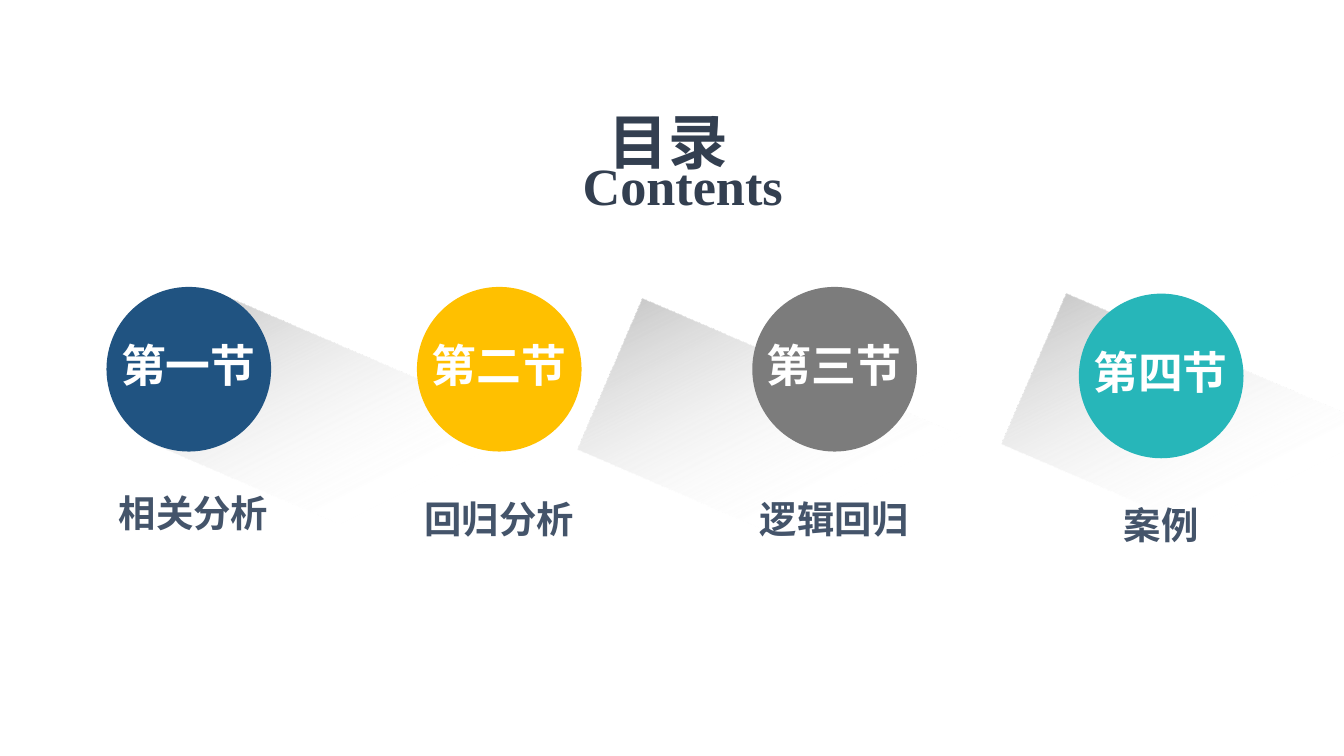
import pptx
import pptx.util
import pptx.dml.color
import pptx.enum.shapes
import pptx.enum.text
from lxml import etree

THEME = {
    "sans": "Noto Sans CJK SC", "serif": "Times New Roman",
    "dark": "333F50", "label": "44546A", "white": "FFFFFF",
    "head": 32, "sub": 28, "name": 24, "note": 20,
    # stop position in %, colour, opacity in %
    "shade": [(0, "4991D2", 54), (0, "BFBFBF", 100), (54, "FFFFFF", 0)],
}

# All lengths are in cells: the 16:9 slide is 100 cells wide, 56.25 high.
COLS, ROWS = 100, 56.25
CELL = pptx.util.Inches(10) / COLS

# number, topic, colour, centre column, top row of circle, shift of topic
SECTIONS = [
    ("第一节", "相关分析", "205381", 14.05, 21.35, (0.35, -0.4)),
    ("第二节", "回归分析", "FFC000", 37.15, 21.35, (0, 0)),
    ("第三节", "逻辑回归", "7C7C7C", 62.1, 21.35, (0, 0)),
    ("第四节", "案例", "27B6B9", 86.4, 21.85, (0, 0)),
]
SHADES = [(11.9, 28.5), (75.4, 28.7), (43.9, 29.1)]
SHADE = (37.2, 12.2)
TILT, ANGLE = 23.3, 40
DISC = 12.25
NAME = (13.2, 5)
GLYPH, LINE = 2.8, 3.4

KIND = pptx.enum.shapes.MSO_SHAPE
ALIGN = pptx.enum.text.PP_ALIGN
MID = pptx.enum.text.MSO_ANCHOR.MIDDLE
GROW = pptx.enum.text.MSO_AUTO_SIZE.SHAPE_TO_FIT_TEXT
FLUSH = dict.fromkeys(
    ("margin_left", "margin_top", "margin_right", "margin_bottom"), 0)

deck = pptx.Presentation()
deck.slide_width, deck.slide_height = round(COLS * CELL), round(ROWS * CELL)
slide = deck.slides.add_slide(deck.slide_layouts[6])


def rgb(code):
    return pptx.dml.color.RGBColor.from_string(code)


def cells(*sizes):
    return [round(size * CELL) for size in sizes]


def shape(kind, box, color=None):
    item = slide.shapes.add_shape(kind, *cells(*box))
    item.shadow.inherit = False
    item.line.fill.background()
    if color:
        item.fill.solid()
        item.fill.fore_color.rgb = rgb(color)
    else:
        item.fill.background()
    return item


def write(item, text, size, color, font="sans", align=ALIGN.CENTER, **frame):
    for key, value in frame.items():
        setattr(item.text_frame, key, value)
    para = item.text_frame.paragraphs[0]
    para.alignment = align
    run = para.add_run()
    run.text = text
    look = {"name": THEME[font], "size": pptx.util.Pt(THEME[size]), "bold": True}
    for key, value in look.items():
        setattr(run.font, key, value)
    run.font.color.rgb = rgb(THEME[color])
    props = run._r.get_or_add_rPr()
    east = etree.SubElement(props, pptx.oxml.ns.qn("a:ea"))
    east.set("typeface", THEME[font])


def label(box, *args, **frame):
    write(slide.shapes.add_textbox(*cells(*box)), *args, **frame)


def fade(item):
    """Fill with the theme's gradient, which python-pptx cannot make clear."""
    stops = "".join(
        f'<a:gs pos="{pos * 1000}"><a:srgbClr val="{code}">'
        f'<a:alpha val="{alpha * 1000}"/></a:srgbClr></a:gs>'
        for pos, code, alpha in THEME["shade"])
    old = item._element.spPr.find(pptx.oxml.ns.qn("a:noFill"))
    new = pptx.oxml.parse_xml(
        f'<a:gradFill {pptx.oxml.ns.nsdecls("a")} rotWithShape="1">'
        f'<a:gsLst>{stops}</a:gsLst>'
        f'<a:lin ang="{ANGLE * 60000}" scaled="0"/></a:gradFill>')
    old.getparent().replace(old, new)


for spot in SHADES:
    band = shape(KIND.RECTANGLE, spot + SHADE)
    band.rotation = TILT
    fade(band)

label((45.3, 7.8, 11, 5), "目录", "head", "dark",
      align=ALIGN.JUSTIFY, word_wrap=True, **FLUSH)
write(shape(KIND.DIAMOND, (44.5, 7.55, 12.6, 12.4)), "Contents", "sub", "dark",
      font="serif", word_wrap=False, vertical_anchor=MID, **FLUSH)

for name, topic, color, mid, top, (right, down) in SECTIONS:
    shape(KIND.OVAL, (mid - DISC / 2, top, DISC, DISC), color)
    label((mid - NAME[0] / 2 - 0.05, top + 3.3, *NAME), name, "name", "white",
          word_wrap=False)
    wide = GLYPH * len(topic)
    label((mid - wide / 2 + right, top + 15.5 + down, wide, LINE),
          topic, "note", "label", word_wrap=False, auto_size=GROW,
          vertical_anchor=MID, **FLUSH)

deck.save("out.pptx")
